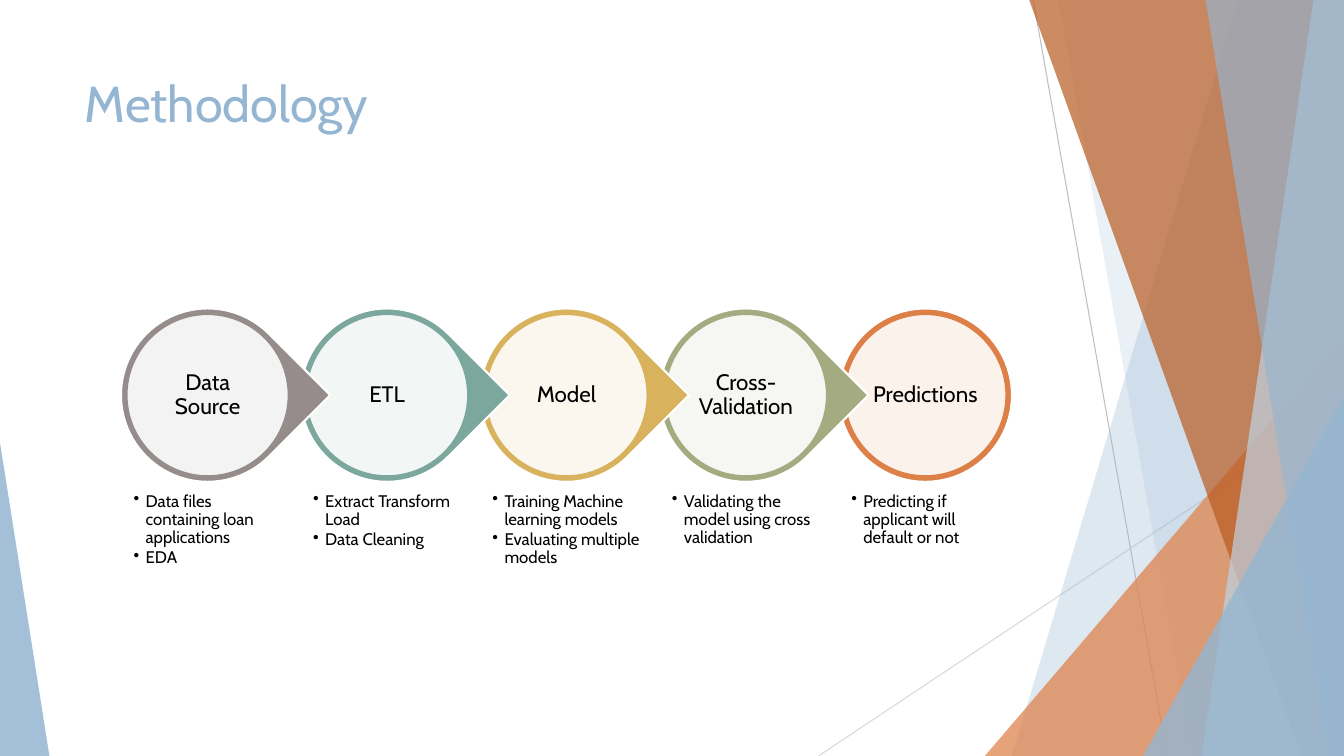
from dataclasses import dataclass

from lxml.etree import SubElement
from pptx import Presentation
from pptx.dml.color import RGBColor
from pptx.enum.shapes import MSO_CONNECTOR, MSO_SHAPE
from pptx.enum.text import MSO_ANCHOR, PP_ALIGN
from pptx.oxml.ns import qn
from pptx.util import Emu, Inches, Pt

FONT = "Cabin"
HUES = {
    "white": "FFFFFF", "black": "000000", "blue": "94B6D2", "pale": "BFD3E4",
    "orange": "DD8047", "rust": "B95B22", "grey": "968C8C", "teal": "7BA79D",
    "gold": "D8B25C", "olive": "A5AB81", "dim": "BFBFBF", "faint": "D9D9D9",
}


# All lengths below are percentages of the slide's width or height.
@dataclass
class Ray:
    start: tuple[float, float]
    end: tuple[float, float]
    hue: str


@dataclass
class Strip:
    top: float
    foot: float
    hue: str
    alpha: int


@dataclass
class Wedge:
    left: float
    top: float
    width: float
    tip: float
    hue: str
    alpha: int


@dataclass
class Step:
    name: str
    notes: list[str]
    hue: str


RAYS = [Ray((76.88, 0), (86.85, 100), "dim"), Ray((100, 53.73), (60.9, 100), "faint")]
BACK = [
    Strip(92.1, 75.3, "blue", 30),
    Strip(78.75, 88.73, "blue", 20),
    Wedge(73.28, 44.4, 26.72, 1, "orange", 72),
    Strip(76.58, 96.83, "rust", 70),
    Strip(97.73, 89.4, "pale", 70),
    Strip(89.7, 98.85, "blue", 65),
    Wedge(85.05, 52.4, 14.95, 1, "blue", 80),
    Wedge(0, 58.53, 3.68, 0, "blue", 85),
]
STEPS = [
    Step("Data Source", ["Data files containing loan applications", "EDA"], "grey"),
    Step("ETL", ["Extract Transform Load", "Data Cleaning"], "teal"),
    Step("Model", ["Training Machine learning models", "Evaluating multiple models"], "gold"),
    Step("Cross-Validation", ["Validating the model using cross validation"], "olive"),
    Step("Predictions", ["Predicting if applicant will default or not"], "orange"),
]
FIRST, PITCH, MID = 15.45, 13.35, 52.27
OUTER, INNER, LABEL = 12.9, 12.07, 8.63

deck = Presentation()
deck.slide_width, deck.slide_height = Inches(13.333), Inches(7.5)
slide = deck.slides.add_slide(deck.slide_layouts[5])
shapes = slide.shapes


def across(share: float) -> Emu:
    return Emu(int(deck.slide_width * share / 100))


def down(share: float) -> Emu:
    return Emu(int(deck.slide_height * share / 100))


def box(left: float, top: float, width: float, height: float) -> tuple:
    return across(left), down(top), across(width), down(height)


def square(mid: float, side: float) -> tuple:
    size = across(side)
    return across(mid - side / 2), down(MID) - size // 2, size, size


def tint(name: str) -> RGBColor:
    return RGBColor.from_string(HUES[name])


def paint(shape, hue: str, alpha: int = 100, edge: str = "") -> None:
    shape.shadow.inherit = False
    shape.fill.solid()
    shape.fill.fore_color.rgb = tint(hue)
    if alpha < 100:
        for mark in shape.element.spPr.xpath("./a:solidFill/a:srgbClr"):
            SubElement(mark, qn("a:alpha")).set("val", str(alpha * 1000))
    if edge:
        shape.line.color.rgb = tint(edge)
        shape.line.width = Pt(1.5)
    else:
        shape.line.fill.background()


def style(part, size: float, hue: str) -> None:
    for run in part.runs:
        run.font.name, run.font.size = FONT, Pt(size)
        run.font.color.rgb = tint(hue)


def draw_ray(ray: Ray) -> None:
    (left, top), (right, foot) = ray.start, ray.end
    line = shapes.add_connector(
        MSO_CONNECTOR.STRAIGHT, across(left), down(top), across(right), down(foot))
    line.line.color.rgb = tint(ray.hue)
    line.line.width = Pt(0.75)
    SubElement(line.element.spPr, qn("a:effectLst"))


def draw_strip(strip: Strip) -> None:
    pen = shapes.build_freeform(across(strip.top), 0)
    ends = [(100, 0), (100, 100), (strip.foot, 100)]
    pen.add_line_segments([(across(x), down(y)) for x, y in ends])
    paint(pen.convert_to_shape(), strip.hue, strip.alpha)


def draw_wedge(wedge: Wedge) -> None:
    place = box(wedge.left, wedge.top, wedge.width, 100 - wedge.top)
    shape = shapes.add_shape(MSO_SHAPE.ISOSCELES_TRIANGLE, *place)
    shape.adjustments[0] = wedge.tip
    paint(shape, wedge.hue, wedge.alpha)


def add_text(place: tuple, lines: list[str], size: float, inset: float):
    frame = shapes.add_textbox(*place).text_frame
    frame.word_wrap = True
    frame.margin_left = frame.margin_right = Inches(inset)
    frame.margin_top = frame.margin_bottom = Inches(inset)
    frame.text = "\n".join(lines)
    for part in frame.paragraphs:
        part.line_spacing = 0.9
        style(part, size, "black")
    return frame


def draw_step(step: Step, mid: float, last: bool) -> None:
    # Outer drop that points at the next step, or a plain disc at the end
    kind = MSO_SHAPE.OVAL if last else MSO_SHAPE.TEAR
    drop = shapes.add_shape(kind, *square(mid, OUTER))
    drop.rotation = 0 if last else 45
    paint(drop, step.hue, edge="white")
    disc = shapes.add_shape(MSO_SHAPE.OVAL, *square(mid, INNER))
    paint(disc, "white", 90, step.hue)

    # Label in the disc
    frame = add_text(square(mid, LABEL), [step.name], 16, 0.02)
    frame.vertical_anchor = MSO_ANCHOR.MIDDLE
    frame.paragraphs[0].alignment = PP_ALIGN.CENTER

    # Bulleted notes under it
    place = box(mid - INNER / 2, 64.27, INNER, 12.53)
    for part in add_text(place, step.notes, 12, 0.07).paragraphs:
        part.space_after = Pt(1.5)
        props = part._p.get_or_add_pPr()
        props.set("marL", str(Inches(0.12)))
        props.set("indent", str(-Inches(0.12)))
        SubElement(props, qn("a:buChar")).set("char", "•")


# Backdrop
for ray in RAYS:
    draw_ray(ray)
for piece in BACK:
    if isinstance(piece, Strip):
        draw_strip(piece)
    else:
        draw_wedge(piece)

# Title
title = shapes.title
title.left, title.top, title.width, title.height = box(5.55, 8.93, 70.5, 19.2)
title.text_frame.text = "Methodology"
title.text_frame.vertical_anchor = MSO_ANCHOR.TOP
title.text_frame.paragraphs[0].alignment = PP_ALIGN.LEFT
style(title.text_frame.paragraphs[0], 36, "blue")

# Steps, from right to left so that each drop overlaps the next one
for rank, step in reversed(list(enumerate(STEPS))):
    draw_step(step, FIRST + rank * PITCH, rank == len(STEPS) - 1)

deck.save("out.pptx")
